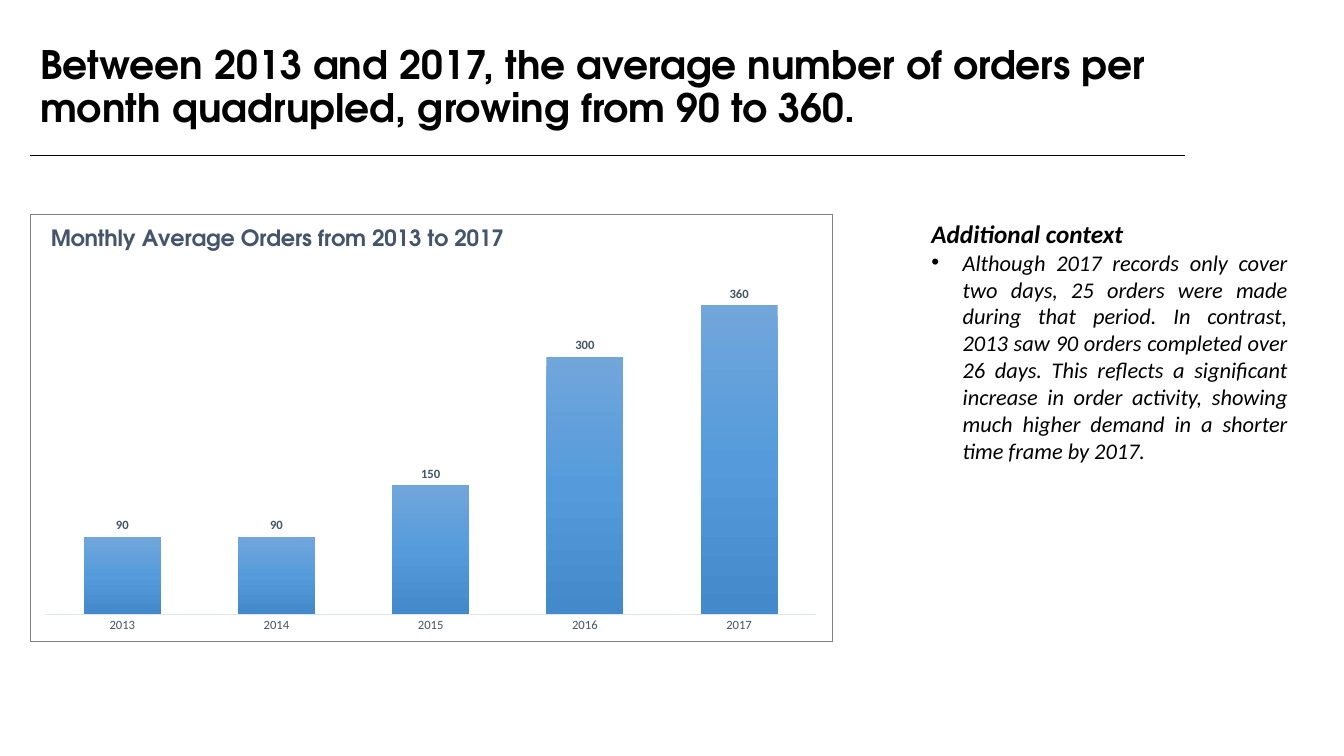
from lxml import etree
from pptx import Presentation
from pptx.chart.data import CategoryChartData
from pptx.dml.color import RGBColor
from pptx.enum.chart import XL_CHART_TYPE, XL_LABEL_POSITION, XL_TICK_MARK
from pptx.enum.shapes import MSO_CONNECTOR
from pptx.enum.text import MSO_ANCHOR, PP_ALIGN
from pptx.oxml import parse_xml
from pptx.oxml.ns import qn
from pptx.util import Inches, Pt

COLUMNS = XL_CHART_TYPE.COLUMN_CLUSTERED
OUTSIDE_END = XL_LABEL_POSITION.OUTSIDE_END
NO_TICKS = XL_TICK_MARK.NONE
STRAIGHT = MSO_CONNECTOR.STRAIGHT
MIDDLE = MSO_ANCHOR.MIDDLE
JUSTIFY = PP_ALIGN.JUSTIFY

HEADING_FONT, BODY_FONT = "TeX Gyre Adventor", "Calibri"
BLACK, SLATE = "000000", "44546A"
LEFT, RULE_Y, CONTENT_Y = Inches(0.3), Inches(1.54), Inches(2.12)
DRAWING = 'xmlns:a="http://schemas.openxmlformats.org/drawingml/2006/main"'


def style(font, name, size, color, bold=False, italic=False):
    font.name, font.size, font.bold, font.italic = name, Pt(size), bold, italic
    font.color.rgb = RGBColor.from_string(color)


def place(parent, position, **shares):
    for old in parent.findall(qn("c:layout")):
        parent.remove(old)
    layout = etree.Element(qn("c:layout"))
    manual = etree.SubElement(layout, qn("c:manualLayout"))
    for key, value in shares.items():
        etree.SubElement(manual, qn("c:" + key), val=str(value))
    parent.insert(position, layout)


deck = Presentation()
deck.slide_width, deck.slide_height = Inches(13.33), Inches(7.5)
page = deck.slides.add_slide(deck.slide_layouts[6])

title_box = page.shapes.add_textbox(LEFT, Inches(0.21), Inches(11.65), Inches(1.33))
title_box.text_frame.word_wrap = True
title_box.text_frame.vertical_anchor = MIDDLE
para = title_box.text_frame.paragraphs[0]
para.line_spacing = 0.9
span = para.add_run()
span.text = ("Between 2013 and 2017, the average number of orders per month "
             "quadrupled, growing from 90 to 360.")
style(span.font, HEADING_FONT, 28, BLACK, bold=True)

rule = page.shapes.add_connector(STRAIGHT, LEFT, RULE_Y, Inches(11.75), RULE_Y)
rule.line.color.rgb = RGBColor.from_string(BLACK)
rule.line.width = Pt(1)
etree.SubElement(rule._element.spPr, qn("a:effectLst"))

orders = CategoryChartData()
orders.categories = ["2013", "2014", "2015", "2016", "2017"]
orders.add_series("Series 1", [90, 90, 150, 300, 360])
chart = page.shapes.add_chart(
    COLUMNS, LEFT, CONTENT_Y, Inches(7.96), Inches(4.25), orders).chart
style(chart.font, BODY_FONT, 10, BLACK)
chart.has_legend = False

chart.has_title = True
span = chart.chart_title.text_frame.paragraphs[0].add_run()
span.text = "Monthly Average Orders from 2013 to 2017"
style(span.font, HEADING_FONT, 16, SLATE, bold=True)
place(chart.chart_title._element, 1, xMode="edge", yMode="edge", x=0.02, y=0.02)
place(chart._chartSpace.chart.plotArea, 0, layoutTarget="inner", xMode="edge",
      yMode="edge", x=0.018, y=0.133, w=0.962, h=0.803)

border = parse_xml(
    '<c:spPr xmlns:c="http://schemas.openxmlformats.org/drawingml/2006/chart" '
    f'{DRAWING}><a:noFill/><a:ln w="{Pt(0.75)}"><a:solidFill>'
    '<a:srgbClr val="808080"/></a:solidFill></a:ln></c:spPr>')
chart._chartSpace.find(qn("c:txPr")).addprevious(border)

years = chart.category_axis
years.major_tick_mark = years.minor_tick_mark = NO_TICKS
years.format.line.color.rgb = RGBColor.from_string("E0E5EB")
years.format.line.width = Pt(0.75)
style(years.tick_labels.font, BODY_FONT, 9, SLATE)
scale = chart.value_axis
scale.minimum_scale, scale.maximum_scale = 0, 400
scale.has_major_gridlines = False
scale.visible = False

plot = chart.plots[0]
plot.gap_width, plot.overlap = 100, -24
plot.vary_by_categories = False
bars = plot.series[0]
bars.invert_if_negative = False
stops = "".join(
    f'<a:gs pos="{share * 1000}"><a:srgbClr val="{color}"/></a:gs>'
    for share, color in [(0, "71A6DB"), (50, "559BDB"), (100, "448ACA")])
bars.format.fill.background()
bar_fill = bars._element.spPr.find(qn("a:noFill"))
bar_fill.addprevious(parse_xml(
    f'<a:gradFill {DRAWING} rotWithShape="1"><a:gsLst>{stops}</a:gsLst>'
    '<a:lin ang="5400000" scaled="0"/></a:gradFill>'))
bars._element.spPr.remove(bar_fill)

labels = bars.data_labels
labels.show_value = True
labels.position = OUTSIDE_END
labels.number_format, labels.number_format_is_linked = "@", False
style(labels.font, BODY_FONT, 9, SLATE, bold=True)

context_box = page.shapes.add_textbox(Inches(9.14), CONTENT_Y, Inches(3.73), Inches(2.56))
context_box.text_frame.word_wrap = True
para = context_box.text_frame.paragraphs[0]
span = para.add_run()
span.text = "Additional context"
style(span.font, BODY_FONT, 18, BLACK, bold=True, italic=True)

para = context_box.text_frame.add_paragraph()
para.alignment = JUSTIFY
indent = Inches(0.31)
bullet = para._p.get_or_add_pPr()
bullet.set("marL", str(indent))
bullet.set("indent", str(-indent))
etree.SubElement(bullet, qn("a:buFont"), typeface="Arial")
etree.SubElement(bullet, qn("a:buChar"), char="•")
span = para.add_run()
span.text = ("Although 2017 records only cover two days, 25 orders were made during "
             "that period. In contrast, 2013 saw 90 orders completed over 26 days. "
             "This reflects a significant increase in order activity, showing much "
             "higher demand in a shorter time frame by 2017.")
style(span.font, BODY_FONT, 16, BLACK, italic=True)

deck.save("out.pptx")
